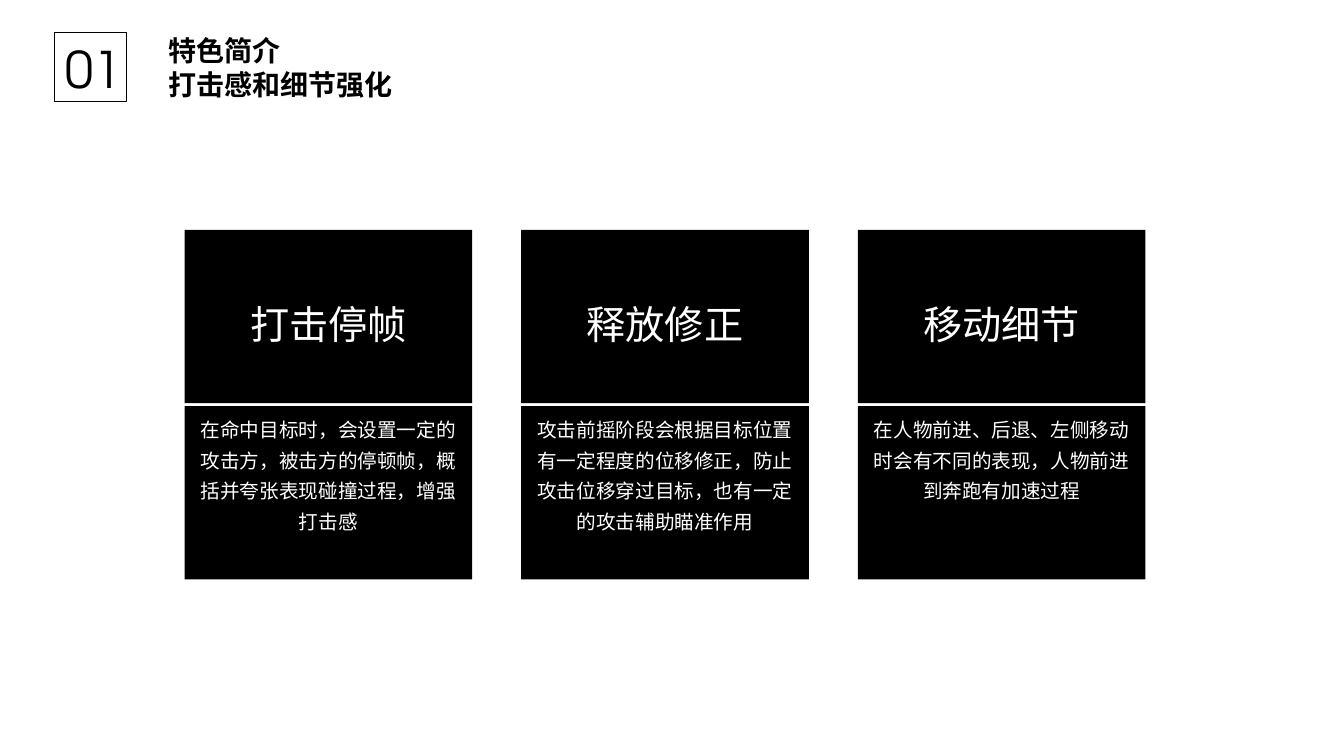
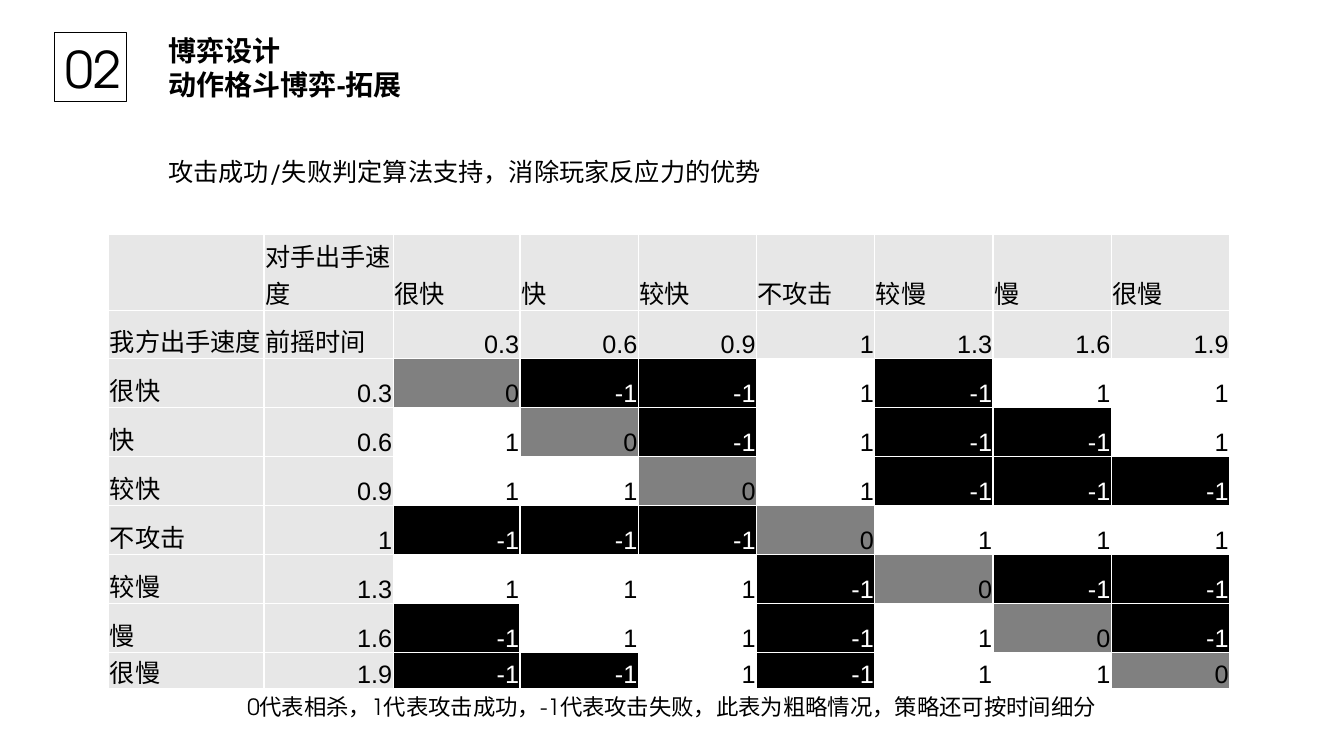
"""Build two slides on combat feel and the attack-speed game of a fighting game."""
from dataclasses import dataclass

import pptx
import pptx.dml.color
import pptx.enum.shapes
import pptx.enum.text
import pptx.oxml
import pptx.oxml.ns
import pptx.util

RGBColor = pptx.dml.color.RGBColor
Align = pptx.enum.text.PP_ALIGN
Anchor = pptx.enum.text.MSO_ANCHOR

BLACK = RGBColor(0x00, 0x00, 0x00)
WHITE = RGBColor(0xFF, 0xFF, 0xFF)
GREY = RGBColor(0x80, 0x80, 0x80)
HEADER_GREY = RGBColor(0xE7, 0xE7, 0xE7)

SLIDE_WIDTH = pptx.util.Inches(13.33)
SLIDE_HEIGHT = pptx.util.Inches(7.5)


@dataclass(frozen=True)
class Area:
    """A rectangle in percent of the slide's width and height."""
    left: float
    top: float
    width: float
    height: float

    def lengths(self) -> tuple[int, int, int, int]:
        """Return the rectangle as slide lengths."""
        return across(self.left), down(self.top), across(self.width), down(self.height)


@dataclass(frozen=True)
class TextStyle:
    """The look of a run and its paragraph."""
    size: float
    latin: str
    east_asian: str
    color: RGBColor = BLACK
    bold: bool = False
    align: Align = Align.LEFT
    spacing: float = 1.0


@dataclass(frozen=True)
class Card:
    """A feature with its heading and explanation."""
    heading: str
    body: str


@dataclass(frozen=True)
class Speed:
    """An attack speed, its wind-up time and its outcomes against each speed."""
    name: str
    windup: str
    outcomes: tuple[int, ...]


SANS = "Noto Sans CJK SC"
ROUND = "TeX Gyre Adventor"
TITLE_STYLE = TextStyle(20, "Arial", SANS, bold=True)
NUMBER_STYLE = TextStyle(36, ROUND, ROUND, align=Align.CENTER)
HEADING_STYLE = TextStyle(28, SANS, ROUND, WHITE, align=Align.CENTER, spacing=1.3)
BODY_STYLE = TextStyle(14, SANS, ROUND, WHITE, align=Align.CENTER, spacing=1.3)
SUBTITLE_STYLE = TextStyle(18, ROUND, ROUND)
CAPTION_STYLE = TextStyle(16, ROUND, ROUND, align=Align.CENTER)

NUMBER_FRAME = Area(4.05, 4.27, 5.4, 9.2)
NUMBER_AREA = Area(3.68, 4, 6.53, 10)
TITLE_AREA = Area(11.78, 3.47, 50.48, 10.93)
SUBTITLE_AREA = Area(11.78, 20, 46.65, 5.33)
CAPTION_AREA = Area(17.25, 91.07, 65.48, 4.93)
FIRST_CARD = Area(13.73, 30.4, 21.4, 22.93)
CARD_COLUMN = 25.05
CARD_ROW = 23.33
TABLE_LEFT, TABLE_TOP = 8.1, 31.07
TABLE_COLUMNS = (11.55, 9.6, 9.45) + (8.8,) * 6
TABLE_ROWS = (10, 6.4) + (6.48,) * 6 + (4.8,)

CARDS = (
    Card("打击停帧", "在命中目标时，会设置一定的攻击方，被击方的停顿帧，概括并夸张表现碰撞过程，增强打击感"),
    Card("释放修正", "攻击前摇阶段会根据目标位置有一定程度的位移修正，防止攻击位移穿过目标，也有一定的攻击辅助瞄准作用"),
    Card("移动细节", "在人物前进、后退、左侧移动时会有不同的表现，人物前进到奔跑有加速过程"),
)

SPEEDS = (
    Speed("很快", "0.3", (0, -1, -1, 1, -1, 1, 1)),
    Speed("快", "0.6", (1, 0, -1, 1, -1, -1, 1)),
    Speed("较快", "0.9", (1, 1, 0, 1, -1, -1, -1)),
    Speed("不攻击", "1", (-1, -1, -1, 0, 1, 1, 1)),
    Speed("较慢", "1.3", (1, 1, 1, -1, 0, -1, -1)),
    Speed("慢", "1.6", (-1, 1, 1, -1, 1, 0, -1)),
    Speed("很慢", "1.9", (-1, -1, 1, -1, 1, 1, 0)),
)
OUTCOME_FILLS = {-1: BLACK, 0: GREY, 1: WHITE}


def across(percent: float) -> int:
    """Return a share of the slide's width."""
    return round(SLIDE_WIDTH * percent / 100)


def down(percent: float) -> int:
    """Return a share of the slide's height."""
    return round(SLIDE_HEIGHT * percent / 100)


def write(text_frame, lines: tuple[str, ...], style: TextStyle) -> None:
    """Write one paragraph for each line."""
    for index, line in enumerate(lines):
        paragraph = text_frame.add_paragraph() if index else text_frame.paragraphs[0]
        paragraph.alignment = style.align
        paragraph.line_spacing = style.spacing
        run = paragraph.add_run()
        run.text = line
        run.font.size = pptx.util.Pt(style.size)
        run.font.name = style.latin
        run.font.bold = style.bold
        run.font.color.rgb = style.color
        east_asian = pptx.oxml.parse_xml(
            f'<a:ea {pptx.oxml.ns.nsdecls("a")} typeface="{style.east_asian}"/>')
        run.font._element.find(pptx.oxml.ns.qn("a:latin")).addnext(east_asian)


def add_text(slide, area: Area, lines: tuple[str, ...], style: TextStyle,
             anchor: Anchor = Anchor.TOP, wrap: bool = True) -> None:
    """Add a text box."""
    text_frame = slide.shapes.add_textbox(*area.lengths()).text_frame
    text_frame.word_wrap = wrap
    text_frame.vertical_anchor = anchor
    write(text_frame, lines, style)


def add_rectangle(slide, area: Area):
    """Add a plain rectangle without fill or line."""
    shape = slide.shapes.add_shape(
        pptx.enum.shapes.MSO_SHAPE.RECTANGLE, *area.lengths())
    shape.shadow.inherit = False
    shape.fill.background()
    shape.line.fill.background()
    return shape


def add_panel(slide, area: Area, text: str, style: TextStyle, anchor: Anchor) -> None:
    """Add a black rectangle with text."""
    panel = add_rectangle(slide, area)
    panel.fill.solid()
    panel.fill.fore_color.rgb = BLACK
    panel.text_frame.word_wrap = True
    panel.text_frame.vertical_anchor = anchor
    write(panel.text_frame, (text,), style)


def add_titled_slide(presentation, number: str, title: tuple[str, ...]):
    """Add a blank slide with a framed number and a title."""
    slide = presentation.slides.add_slide(presentation.slide_layouts[6])
    frame = add_rectangle(slide, NUMBER_FRAME)
    frame.line.color.rgb = BLACK
    frame.line.width = pptx.util.Pt(0.75)
    add_text(slide, TITLE_AREA, title, TITLE_STYLE, Anchor.MIDDLE)
    add_text(slide, NUMBER_AREA, (number,), NUMBER_STYLE, Anchor.MIDDLE)
    return slide


def add_card(slide, column: int, card: Card) -> None:
    """Add a heading panel with its body panel below."""
    left = FIRST_CARD.left + column * CARD_COLUMN
    panels = ((card.heading, HEADING_STYLE, Anchor.MIDDLE),
              (card.body, BODY_STYLE, Anchor.TOP))
    for row, (text, style, anchor) in enumerate(panels):
        area = Area(left, FIRST_CARD.top + row * CARD_ROW,
                    FIRST_CARD.width, FIRST_CARD.height)
        add_panel(slide, area, text, style, anchor)


def fill_cell(cell, text: str, fill: RGBColor, align: Align) -> None:
    """Write a table cell and give it its fill and white borders."""
    cell.margin_left = cell.margin_right = cell.margin_top = pptx.util.Inches(0.01)
    cell.margin_bottom = 0
    cell.vertical_anchor = Anchor.BOTTOM
    properties = cell._tc.get_or_add_tcPr()
    for side in ("lnL", "lnR", "lnT", "lnB"):
        properties.append(pptx.oxml.parse_xml(
            f'<a:{side} {pptx.oxml.ns.nsdecls("a")} w="{pptx.util.Pt(1)}">'
            f'<a:solidFill><a:srgbClr val="{WHITE}"/></a:solidFill></a:{side}>'))
    cell.fill.solid()
    cell.fill.fore_color.rgb = fill
    if text:
        color = WHITE if fill == BLACK else BLACK
        write(cell.text_frame, (text,), TextStyle(18, "Arial", SANS, color, align=align))


def add_outcome_table(slide) -> None:
    """Add the table of outcomes of every pair of attack speeds."""
    area = Area(TABLE_LEFT, TABLE_TOP, sum(TABLE_COLUMNS), sum(TABLE_ROWS))
    table = slide.shapes.add_table(
        len(TABLE_ROWS), len(TABLE_COLUMNS), *area.lengths()).table
    for column, width in zip(table.columns, TABLE_COLUMNS):
        column.width = across(width)
    for row, height in zip(table.rows, TABLE_ROWS):
        row.height = down(height)
    headers = (("", "对手出手速度", *(speed.name for speed in SPEEDS)),
               ("我方出手速度", "前摇时间", *(speed.windup for speed in SPEEDS)))
    for row, texts in enumerate(headers):
        for column, text in enumerate(texts):
            align = Align.RIGHT if row == 1 and column > 1 else Align.LEFT
            fill_cell(table.cell(row, column), text, HEADER_GREY, align)
    for row, speed in enumerate(SPEEDS, start=len(headers)):
        fill_cell(table.cell(row, 0), speed.name, HEADER_GREY, Align.LEFT)
        fill_cell(table.cell(row, 1), speed.windup, HEADER_GREY, Align.RIGHT)
        for column, outcome in enumerate(speed.outcomes, start=2):
            fill_cell(table.cell(row, column), str(outcome),
                      OUTCOME_FILLS[outcome], Align.RIGHT)


def main() -> None:
    """Build and save the presentation."""
    presentation = pptx.Presentation()
    presentation.slide_width = SLIDE_WIDTH
    presentation.slide_height = SLIDE_HEIGHT

    features = add_titled_slide(presentation, "01", ("特色简介", "打击感和细节强化"))
    for column, card in enumerate(CARDS):
        add_card(features, column, card)

    game = add_titled_slide(presentation, "02", ("博弈设计", "动作格斗博弈-拓展"))
    add_outcome_table(game)
    add_text(game, SUBTITLE_AREA, ("攻击成功/失败判定算法支持，消除玩家反应力的优势",),
             SUBTITLE_STYLE, wrap=False)
    add_text(game, CAPTION_AREA,
             ("0代表相杀，1代表攻击成功，-1代表攻击失败，此表为粗略情况，策略还可按时间细分",),
             CAPTION_STYLE)

    presentation.save("out.pptx")


if __name__ == "__main__":
    main()
